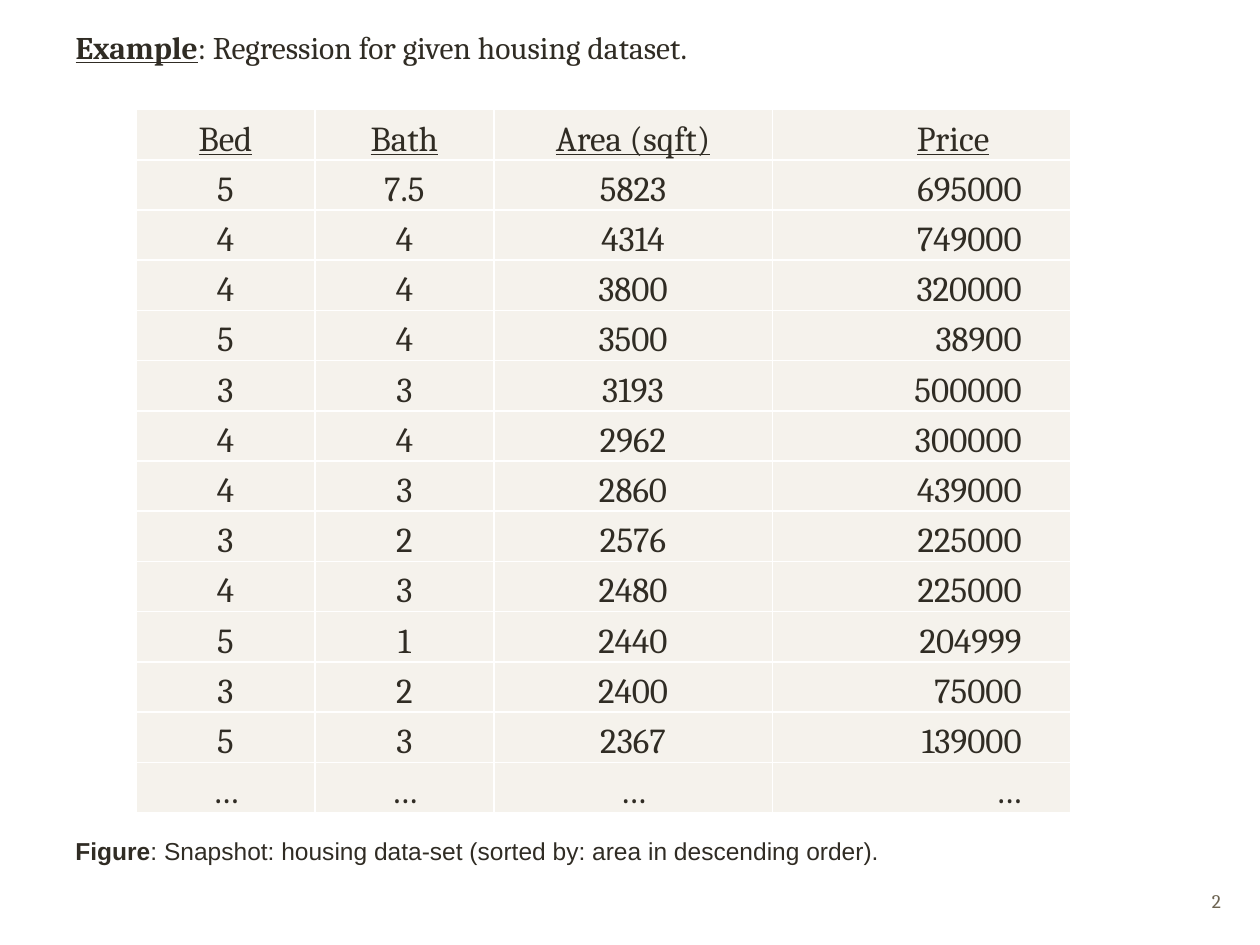
from lxml import etree
from pptx import Presentation
from pptx.dml.color import RGBColor
from pptx.enum.text import MSO_ANCHOR, MSO_AUTO_SIZE, PP_ALIGN
from pptx.oxml.ns import qn
from pptx.util import Inches, Pt

LEFT, CENTER, RIGHT = PP_ALIGN.LEFT, PP_ALIGN.CENTER, PP_ALIGN.RIGHT
TOP, MIDDLE, BOTTOM = MSO_ANCHOR.TOP, MSO_ANCHOR.MIDDLE, MSO_ANCHOR.BOTTOM
NO_AUTOFIT = MSO_AUTO_SIZE.NONE

INK = RGBColor(0x30, 0x2C, 0x24)
MUTED = RGBColor(0x6D, 0x64, 0x52)
CREAM = RGBColor(0xF5, 0xF2, 0xEC)
WHITE = RGBColor(0xFF, 0xFF, 0xFF)

TITLE_LAYOUT = 5
COLUMN_WIDTHS = (1.42, 1.42, 2.21, 2.37)
TABLE_HEIGHT = 5.58
CELL_MARGIN = 0.07
HEADER_PRICE_SHIFT = 0.5
PRICE_INDENT = 0.32

HOUSING = (
    ("Bed", "Bath", "Area (sqft)", "Price"),
    ("5", "7.5", "5823", "695000"),
    ("4", "4", "4314", "749000"),
    ("4", "4", "3800", "320000"),
    ("5", "4", "3500", "38900"),
    ("3", "3", "3193", "500000"),
    ("4", "4", "2962", "300000"),
    ("4", "3", "2860", "439000"),
    ("3", "2", "2576", "225000"),
    ("4", "3", "2480", "225000"),
    ("5", "1", "2440", "204999"),
    ("3", "2", "2400", "75000"),
    ("5", "3", "2367", "139000"),
    ("…", "…", "…", "…"),
)


def add_span(para, text, size, font="Cambria", color=INK, bold=False, underline=False):
    span = para.add_run()
    span.text = text
    span.font.name = font
    span.font.size = Pt(size)
    span.font.color.rgb = color
    span.font.bold = bold
    span.font.underline = underline


def place(shape, left, top, width, height):
    shape.left, shape.top = Inches(left), Inches(top)
    shape.width, shape.height = Inches(width), Inches(height)


def format_frame(frame, anchor, align):
    frame.word_wrap = True
    frame.auto_size = NO_AUTOFIT
    frame.vertical_anchor = anchor
    para = frame.paragraphs[0]
    para.alignment = align
    return para


def add_text_box(page, left, top, width, height, align=LEFT):
    box = page.shapes.add_textbox(
        Inches(left), Inches(top), Inches(width), Inches(height))
    return format_frame(box.text_frame, MIDDLE, align)


def set_borders(cell, color, width):
    properties = cell._tc.get_or_add_tcPr()
    # Border lines come before the fill in the cell properties
    for position, side in enumerate(("a:lnL", "a:lnR", "a:lnT", "a:lnB")):
        line = etree.Element(qn(side), w=str(Pt(width)))
        fill = etree.SubElement(line, qn("a:solidFill"))
        etree.SubElement(fill, qn("a:srgbClr"), val=str(color))
        properties.insert(position, line)


def fill_cell(cell, text, is_header, is_price):
    cell.fill.solid()
    cell.fill.fore_color.rgb = CREAM
    set_borders(cell, WHITE, 1)
    cell.vertical_anchor = BOTTOM
    cell.margin_top = cell.margin_bottom = 0
    shift_left = HEADER_PRICE_SHIFT if is_price and is_header else 0
    shift_right = PRICE_INDENT if is_price and not is_header else 0
    cell.margin_left = Inches(CELL_MARGIN + shift_left)
    cell.margin_right = Inches(CELL_MARGIN + shift_right)
    para = cell.text_frame.paragraphs[0]
    para.alignment = RIGHT if is_price and not is_header else CENTER
    add_span(para, text, 20, underline=is_header)


def add_housing_table(page):
    table = page.shapes.add_table(
        len(HOUSING), len(COLUMN_WIDTHS), Inches(1.08), Inches(0.87),
        Inches(sum(COLUMN_WIDTHS)), Inches(TABLE_HEIGHT)).table
    table.first_row = table.horz_banding = False
    for column, width in zip(table.columns, COLUMN_WIDTHS):
        column.width = Inches(width)
    last = len(COLUMN_WIDTHS) - 1
    for r, values in enumerate(HOUSING):
        for c, value in enumerate(values):
            fill_cell(table.cell(r, c), value, r == 0, c == last)


def add_title(page):
    title = page.shapes.title
    place(title, 0.5, 0.17, 6.08, 0.4)
    para = format_frame(title.text_frame, TOP, LEFT)
    add_span(para, "Example", 18, bold=True, underline=True)
    add_span(para, ": Regression for given housing dataset.", 18)


def main():
    deck = Presentation()
    deck.slide_width, deck.slide_height = Inches(10), Inches(7.5)
    page = deck.slides.add_slide(deck.slide_layouts[TITLE_LAYOUT])
    add_title(page)
    add_housing_table(page)

    # Caption below the table
    caption = add_text_box(page, 0.5, 6.58, 9.08, 0.34)
    add_span(caption, "Figure", 14, "Arial", bold=True)
    add_span(caption, ": Snapshot: housing data-set (sorted by: area in descending order).",
             14, "Arial")

    # Page number
    number = add_text_box(page, 7.46, 6.95, 2.33, 0.4, RIGHT)
    add_span(number, "2", 11, color=MUTED)

    deck.save("out.pptx")


if __name__ == "__main__":
    main()
